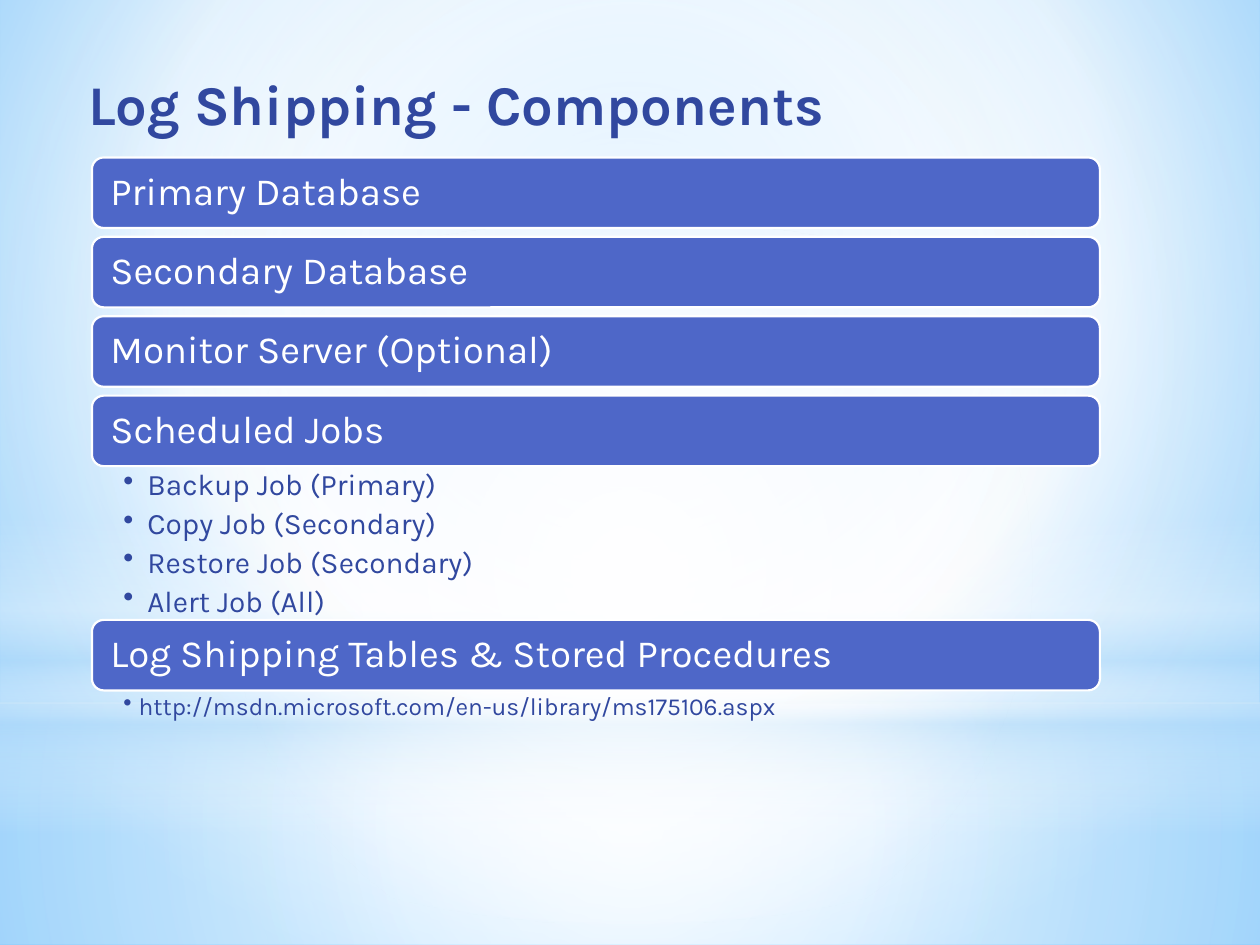
from lxml.etree import SubElement
from pptx import Presentation
from pptx.dml.color import RGBColor
from pptx.enum.shapes import MSO_SHAPE
from pptx.enum.text import MSO_ANCHOR, PP_ALIGN
from pptx.oxml.ns import qn
from pptx.util import Inches, Pt

WHITE = RGBColor(0xFF, 0xFF, 0xFF)
BLUE = RGBColor(0x4E, 0x67, 0xC8)
NAVY = RGBColor(0x31, 0x48, 0x9F)
SKY = RGBColor(0x9E, 0xD5, 0xFF)
DEEP_SKY = RGBColor(0x5B, 0xB9, 0xFF)
PALE_BLUE = RGBColor(0xB4, 0xDC, 0xFA)
FONT = "Karla"

TITLE = "Log Shipping - Components"
JOBS = ["Backup Job (Primary)", "Copy Job (Secondary)",
        "Restore Job (Secondary)", "Alert Job (All)"]
LINKS = ["http://msdn.microsoft.com/en-us/library/ms175106.aspx"]
# heading, details, details height, details size, bullet indent
COMPONENTS = [
    ("Primary Database", [], 0, 0, 0),
    ("Secondary Database", [], 0, 0, 0),
    ("Monitor Server (Optional)", [], 0, 0, 0),
    ("Scheduled Jobs", JOBS, 1.22, 17, 0.19),
    ("Log Shipping Tables & Stored Procedures", LINKS, 0.4, 14, 0.12),
]
LEFT, TOP, WIDTH = 0.73, 1.25, 8
BAR_HEIGHT, GAP = 0.56, 0.07

# Gradient stops: position %, colour, opacity %
BACKGROUND = [(0, SKY, 100), (60, WHITE, 100), (100, DEEP_SKY, 100)]
CENTRE = (50, 50, 50, 50)
# shape, top, height, stops, focus rectangle (None = vertical gradient)
BACKDROP = [
    (MSO_SHAPE.RECTANGLE, 5.58, 1.92,
     [(0, WHITE, 91), (37, WHITE, 76), (100, PALE_BLUE, 79)], CENTRE),
    (MSO_SHAPE.RECTANGLE, 0, 5.58,
     [(0, WHITE, 89), (48, WHITE, 62), (100, PALE_BLUE, 79)], CENTRE),
    (MSO_SHAPE.RECTANGLE, 4.12, 2.5,
     [(0, WHITE, 0), (29, WHITE, 30), (45, PALE_BLUE, 40),
      (55, WHITE, 26), (65, PALE_BLUE, 60), (100, WHITE, 0)], None),
    (MSO_SHAPE.OVAL, 1.75, 5.58, [(0, WHITE, 100), (56, WHITE, 0)], CENTRE),
]


def set_gradient(properties, stops, focus):
    """Replace the solid fill of a properties element with a gradient."""
    solid = properties.find(qn("a:solidFill"))
    gradient = SubElement(properties, qn("a:gradFill"), rotWithShape="1")
    properties.replace(solid, gradient)
    stop_list = SubElement(gradient, qn("a:gsLst"))
    for position, color, opacity in stops:
        stop = SubElement(stop_list, qn("a:gs"), pos=str(position * 1000))
        color_element = SubElement(stop, qn("a:srgbClr"), val=str(color))
        if opacity < 100:
            SubElement(color_element, qn("a:alpha"), val=str(opacity * 1000))
    if focus:
        shade = SubElement(gradient, qn("a:path"), {"path": "circle"})
        sides = {side: str(value * 1000) for side, value in zip("ltrb", focus)}
        SubElement(shade, qn("a:fillToRect"), sides)
    else:
        SubElement(gradient, qn("a:lin"), ang="5400000", scaled="0")


def add_shape(slide, kind, left, top, width, height, color):
    shape = slide.shapes.add_shape(
        kind, Inches(left), Inches(top), Inches(width), Inches(height))
    shape.shadow.inherit = False
    shape.fill.solid()
    shape.fill.fore_color.rgb = color
    return shape


def add_text_box(slide, left, top, width, height):
    box = slide.shapes.add_textbox(
        Inches(left), Inches(top), Inches(width), Inches(height))
    box.text_frame.word_wrap = True
    return box.text_frame


def style(paragraph, size, color, bold=False):
    paragraph.alignment = PP_ALIGN.LEFT
    font = paragraph.font
    font.name, font.size, font.bold = FONT, Pt(size), bold
    font.color.rgb = color


def add_bar(slide, top, heading):
    bar = add_shape(slide, MSO_SHAPE.ROUNDED_RECTANGLE,
                    LEFT, top, WIDTH, BAR_HEIGHT, BLUE)
    bar.line.color.rgb = WHITE
    bar.line.width = Pt(1.25)
    frame = bar.text_frame
    frame.margin_left = frame.margin_right = Inches(0.12)
    frame.vertical_anchor = MSO_ANCHOR.MIDDLE
    frame.text = heading
    frame.paragraphs[0].line_spacing = 0.9
    style(frame.paragraphs[0], 22, WHITE)


def add_details(slide, top, details, height, size, indent):
    frame = add_text_box(slide, LEFT, top, WIDTH, height)
    frame.margin_left = Inches(0.25)
    frame.margin_top = frame.margin_bottom = Inches(0.03)
    frame.text = "\n".join(details)
    for paragraph in frame.paragraphs:
        properties = paragraph._p.get_or_add_pPr()
        properties.set("marL", str(Inches(indent)))
        properties.set("indent", str(-Inches(indent)))
        SubElement(properties, qn("a:buChar"), char="•")
        paragraph.line_spacing = 0.9
        paragraph.space_after = Pt(3.8)
        style(paragraph, size, NAVY)


def main():
    presentation = Presentation()
    presentation.slide_width, presentation.slide_height = Inches(10), Inches(7.5)
    slide = presentation.slides.add_slide(presentation.slide_layouts[6])

    # Background and soft light layers
    slide.background.fill.solid()
    slide.background.fill.fore_color.rgb = WHITE
    set_gradient(slide.element.find(".//" + qn("p:bgPr")),
                 BACKGROUND, (20, 10, 20, 60))
    for kind, top, height, stops, focus in BACKDROP:
        layer = add_shape(slide, kind, 0, top, 10, height, WHITE)
        layer.line.fill.background()
        set_gradient(layer.element.spPr, stops, focus)

    # Title
    title = add_text_box(slide, 0.6, 0.5, 8.42, 0.64)
    title.text = TITLE
    style(title.paragraphs[0], 32, NAVY, bold=True)

    # Component bars, each followed by its details or a gap
    top = TOP
    for heading, details, height, size, indent in COMPONENTS:
        add_bar(slide, top, heading)
        top += BAR_HEIGHT
        if details:
            add_details(slide, top, details, height, size, indent)
        top += height or GAP

    presentation.save("out.pptx")


if __name__ == "__main__":
    main()
